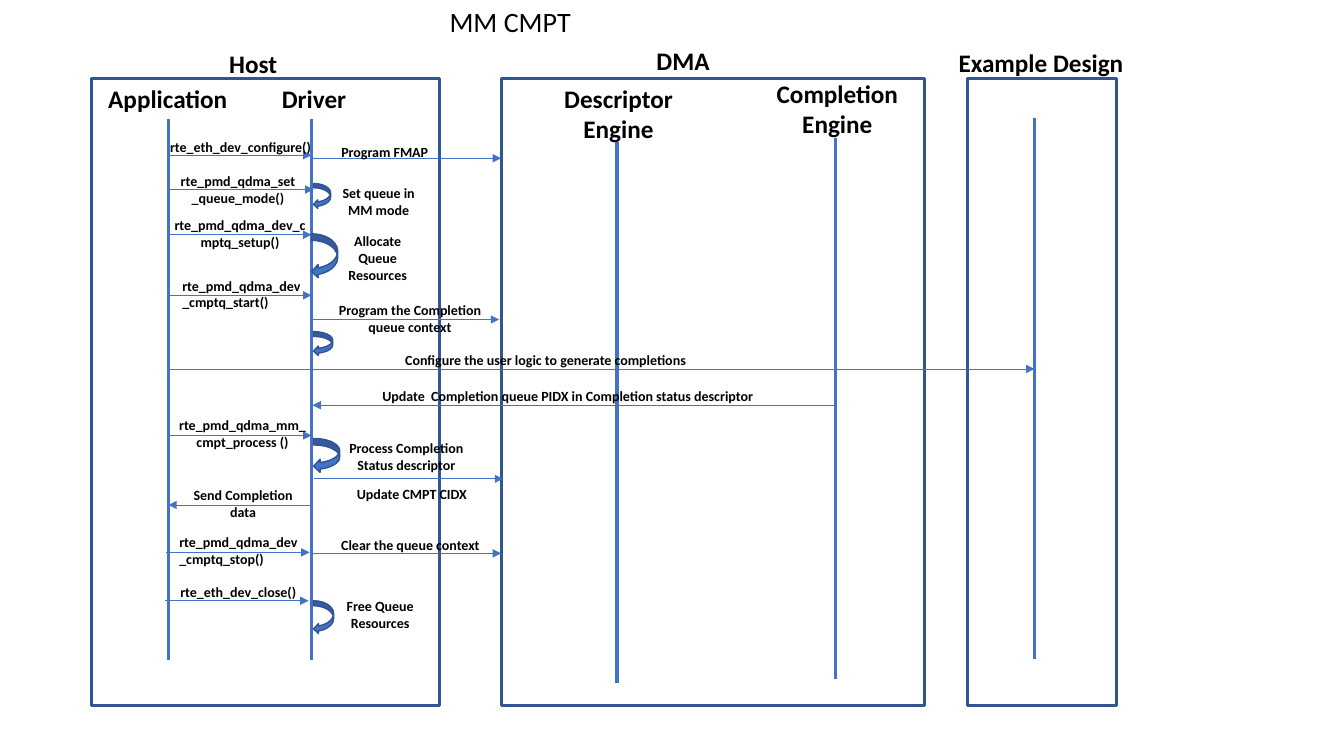
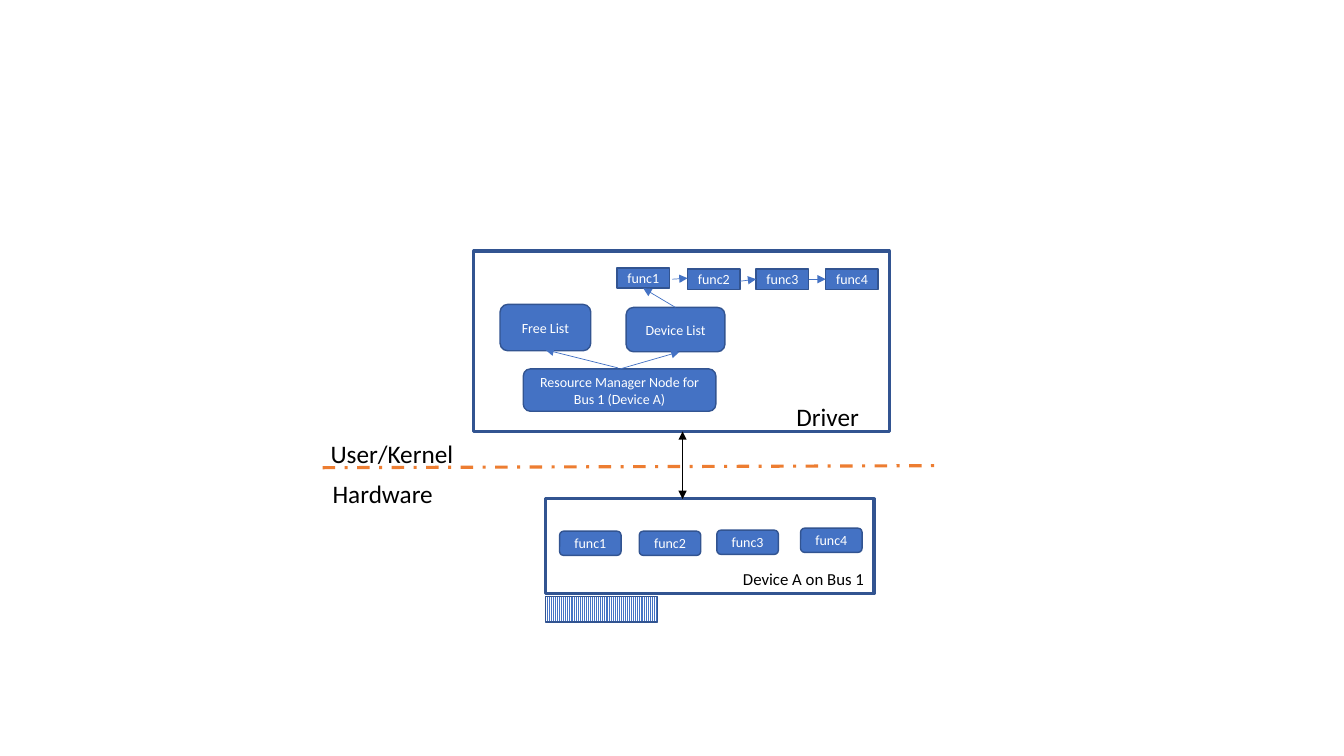
from lxml.etree import SubElement
from pptx import Presentation
from pptx.dml.color import RGBColor
from pptx.enum.dml import MSO_LINE, MSO_PATTERN
from pptx.enum.shapes import MSO_CONNECTOR, MSO_SHAPE
from pptx.enum.text import MSO_ANCHOR, PP_ALIGN
from pptx.oxml.ns import qn
from pptx.util import Inches, Pt

COLORS = {"blue": "4472C4", "navy": "325491", "orange": "ED7D31",
          "black": "000000", "white": "FFFFFF"}
FONT = "Calibri"
LEFT, CENTER, RIGHT = PP_ALIGN.LEFT, PP_ALIGN.CENTER, PP_ALIGN.RIGHT

PANEL_TOP, PANEL_HEIGHT = 0.78, 6.22
PANELS = [(9.6, 1.47), (0.91, 3.45), (4.97, 4.2)]
HEADINGS = [
    ("Host", 2.07, 0.43, 0.88, 1),
    ("DMA", 5.94, 0.4, 1.67, 1),
    ("Example Design", 9.35, 0.42, 1.95, 1),
    ("Application", 0.83, 0.78, 1.67, 1),
    ("Driver", 2.28, 0.78, 1.67, 1),
    ("Descriptor Engine", 5.3, 0.78, 1.67, 2),
    ("Completion Engine", 7.34, 0.73, 1.93, 2),
]
LIFELINE_LENGTH = 5.37
LIFELINES = {"application": (1.67, 1.18), "driver": (3.09, 1.18),
             "descriptor": (6.12, 1.41), "completion": (8.29, 1.37),
             "design": (10.26, 1.17)}
STOPS = {name: x for name, (x, top) in LIFELINES.items()} | {"dma": PANELS[2][0]}

# sender, receiver, row, shift, label, label left, label width, label rise, lines, alignment
MESSAGES = [
    ("application", "driver", 1.54, 0, "rte_eth_dev_configure()", 1.55, 1.67, 0.22, 1, CENTER),
    ("driver", "dma", 1.57, 0, "Program FMAP", 3.24, 1.15, 0.2, 1, CENTER),
    ("application", "driver", 1.88, 0.02, "rte_pmd_qdma_set_queue_mode()", 1.68, 1.36, 0.22, 2, CENTER),
    ("application", "driver", 2.33, 0, "rte_pmd_qdma_dev_cmptq_setup()", 1.63, 1.5, 0.23, 2, CENTER),
    ("application", "driver", 2.93, 0, "rte_pmd_qdma_dev_cmptq_start()", 1.71, 1.38, 0.23, 2, LEFT),
    ("driver", "dma", 3.17, -0.02, "Program the Completion queue context", 3.19, 1.75, 0.23, 2, CENTER),
    ("application", "design", 3.66, 0, "Configure the user logic to generate completions",
     3.41, 4, 0.22, 1, CENTER),
    ("completion", "driver", 4.02, 0.01, "Update  Completion queue PIDX in Completion status descriptor",
     3.51, 4.24, 0.23, 1, CENTER),
    ("application", "driver", 4.32, 0, "rte_pmd_qdma_mm_cmpt_process ()", 1.67, 1.47, 0.24, 2, CENTER),
    ("driver", "dma", 4.75, 0.02, "Update CMPT CIDX", 3.25, 1.67, -0.02, 1, CENTER),
    ("driver", "application", 5.01, 0, "Send Completion data", 1.77, 1.28, 0.23, 2, CENTER),
    ("application", "driver", 5.48, -0.02, "rte_pmd_qdma_dev_cmptq_stop()", 1.68, 1.42, 0.24, 2, LEFT),
    ("driver", "dma", 5.49, 0, "Clear the queue context", 3.24, 1.66, 0.22, 1, CENTER),
    ("application", "driver", 5.96, -0.03, "rte_eth_dev_close()", 1.69, 1.4, 0.22, 1, LEFT),
]
SELF_CALLS = [(3.11, 1.82, 0.17, 0.25), (3.09, 2.32, 0.26, 0.44), (3.11, 3.29, 0.19, 0.24),
              (3.11, 4.35, 0.26, 0.34), (3.11, 5.96, 0.2, 0.33)]
SELF_CALL_LABELS = [
    ("Set queue in MM mode", 3.18, 1.78, 1.15, 2),
    ("Allocate Queue Resources", 3.32, 2.26, 0.85, 3),
    ("Process Completion Status descriptor", 3.2, 4.31, 1.66, 2),
    ("Free Queue Resources", 3.33, 5.88, 0.88, 2),
]

DEVICE_PANEL = (5.41, 4.95, 3.26, 0.94)
DRIVER_PANEL = (4.7, 2.49, 4.12, 1.79)
BUS_CONNECTOR = (5.41, 5.92, 1.11, 0.25)
AREA_LABELS = [("Hardware", 3.2, 4.7, 1.28), ("User/Kernel", 3.18, 4.3, 1.68),
               ("Driver", 7.8, 3.93, 1.15)]
FUNCTIONS = ["func1", "func2", "func3", "func4"]
DEVICE_FUNCTIONS = [(5.55, 5.27), (6.34, 5.27), (7.11, 5.26), (7.94, 5.24)]
LIST_FUNCTIONS = [(6.12, 2.66), (6.82, 2.67), (7.5, 2.67), (8.19, 2.67)]
NODES = [("Resource Manager Node for Bus 1 (Device A)", (5.19, 3.66, 1.91, 0.42)),
         ("Free List", (4.96, 3.02, 0.9, 0.46)),
         ("Device List", (6.21, 3.05, 0.98, 0.44))]
NODE_ARROWS = [((6.7, 3.05), (6.38, 2.86)), ((6.67, 2.77), (6.82, 2.76)),
               ((7.34, 2.79), (7.5, 2.77)), ((8.02, 2.77), (8.19, 2.77)),
               ((6.15, 3.66), (6.74, 3.49)), ((6.13, 3.65), (5.41, 3.47))]


def rgb(name):
    return RGBColor.from_string(COLORS[name])


def write(shape, text, size, color="black", align=LEFT, bold=False, anchor=MSO_ANCHOR.TOP):
    frame = shape.text_frame
    frame.word_wrap = True
    frame.vertical_anchor = anchor
    paragraph = frame.paragraphs[0]
    paragraph.text = text
    paragraph.alignment = align
    font = paragraph.font
    font.name, font.size, font.bold = FONT, Pt(size), bold
    font.color.rgb = rgb(color)


def add_label(slide, text, left, top, width, size, lines=1, align=LEFT, bold=False):
    height = 0.1 + lines * size * 1.2 / 72
    box = slide.shapes.add_textbox(*map(Inches, (left, top, width, height)))
    write(box, text, size, align=align, bold=bold)


def add_block(slide, kind, bounds, fill="blue", weight=1):
    shape = slide.shapes.add_shape(kind, *map(Inches, bounds))
    shape.shadow.inherit = False
    shape.fill.solid()
    shape.fill.fore_color.rgb = rgb(fill)
    shape.line.color.rgb = rgb("navy")
    shape.line.width = Pt(weight)
    return shape


def add_panel(slide, bounds):
    return add_block(slide, MSO_SHAPE.RECTANGLE, bounds, "white", 2.25)


def add_node(slide, kind, text, bounds):
    write(add_block(slide, kind, bounds), text, 10, "white", CENTER, anchor=MSO_ANCHOR.MIDDLE)


def add_line(slide, start, end, color="blue", weight=0.5, arrows=()):
    line = slide.shapes.add_connector(MSO_CONNECTOR.STRAIGHT, *map(Inches, start + end))
    line.line.color.rgb = rgb(color)
    line.line.width = Pt(weight)
    for arrow in arrows:
        SubElement(line.line._get_or_add_ln(), qn("a:" + arrow), type="triangle")
    SubElement(line._element.spPr, qn("a:effectLst"))
    return line


def build_sequence(slide):
    add_label(slide, "MM CMPT", 4.36, 0, 2.31, 20)
    for left, width in PANELS:
        add_panel(slide, (left, PANEL_TOP, width, PANEL_HEIGHT))
    for text, left, top, width, lines in HEADINGS:
        add_label(slide, text, left, top, width, 18, lines, CENTER, True)
    for x, top in LIFELINES.values():
        add_line(slide, (x, top), (x, top + LIFELINE_LENGTH), weight=2.25)
    for sender, receiver, row, shift, text, left, width, rise, lines, align in MESSAGES:
        add_line(slide, (STOPS[sender] + shift, row), (STOPS[receiver] + shift, row),
                 arrows=["tailEnd"])
        add_label(slide, text, left, row - rise, width, 10, lines, align, True)
    for bounds in SELF_CALLS:
        add_block(slide, MSO_SHAPE.CURVED_LEFT_ARROW, bounds)
    for text, left, top, width, lines in SELF_CALL_LABELS:
        add_label(slide, text, left, top, width, 10, lines, CENTER, True)


def build_resources(slide):
    border = add_line(slide, (3.2, 4.64), (9.29, 4.62), "orange", 2.25)
    border.line.dash_style = MSO_LINE.DASH_DOT
    device = add_panel(slide, DEVICE_PANEL)
    write(device, "Device A on Bus 1", 12, align=RIGHT, anchor=MSO_ANCHOR.BOTTOM)
    add_panel(slide, DRIVER_PANEL)
    for text, left, top, width in AREA_LABELS:
        add_label(slide, text, left, top, width, 18)
    for text, position in zip(FUNCTIONS, DEVICE_FUNCTIONS):
        add_node(slide, MSO_SHAPE.ROUNDED_RECTANGLE, text, position + (0.61, 0.24))
    for text, bounds in NODES:
        add_node(slide, MSO_SHAPE.ROUNDED_RECTANGLE, text, bounds)
    for text, position in zip(FUNCTIONS, LIST_FUNCTIONS):
        add_node(slide, MSO_SHAPE.RECTANGLE, text, position + (0.52, 0.2))
    for start, end in NODE_ARROWS:
        add_line(slide, start, end, arrows=["tailEnd"])
    add_line(slide, (6.77, 4.28), (6.77, 4.95), "black", arrows=["headEnd", "tailEnd"])
    connector = add_block(slide, MSO_SHAPE.RECTANGLE, BUS_CONNECTOR)
    connector.fill.patterned()
    connector.fill.pattern = MSO_PATTERN.LIGHT_VERTICAL
    connector.fill.fore_color.rgb = rgb("blue")
    connector.fill.back_color.rgb = rgb("white")


presentation = Presentation()
presentation.slide_width, presentation.slide_height = Inches(13.33), Inches(7.5)
for build in (build_sequence, build_resources):
    build(presentation.slides.add_slide(presentation.slide_layouts[6]))
presentation.save("out.pptx")
